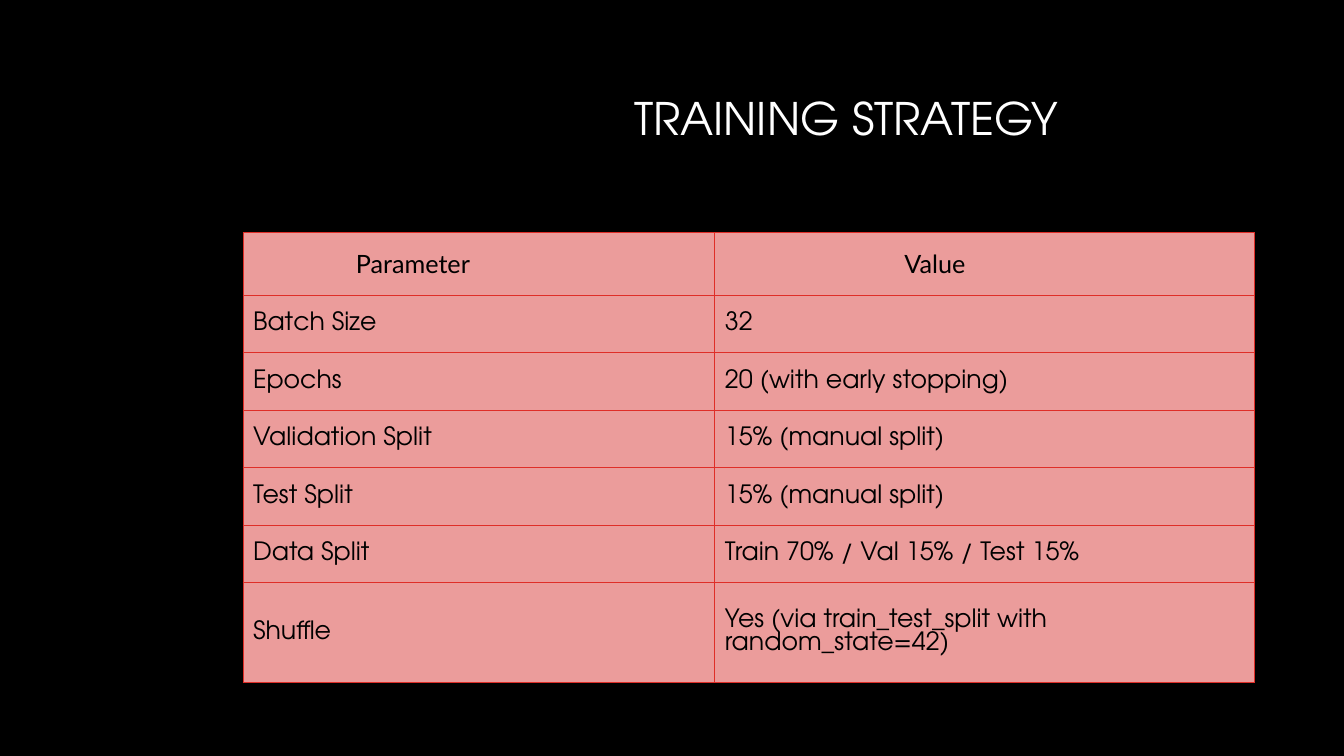
from dataclasses import dataclass

from lxml.etree import SubElement
from pptx import Presentation
from pptx.dml.color import RGBColor
from pptx.enum.text import MSO_ANCHOR as Anchor, PP_ALIGN as Align
from pptx.oxml.ns import qn
from pptx.util import Inches, Pt

WIDTH, HEIGHT = 13.33, 7.5
BODY_FONT, HEADER_FONT = "TeX Gyre Adventor", "Lato"
BLACK, WHITE, PINK, RED = "000000", "FFFFFF", "EB9C9B", "DF2E28"
CELL_MARGIN = 0.1

# Table grid: column widths and row heights
TABLE_LEFT, TABLE_TOP = 2.41, 2.31
COLUMNS = [4.68, 5.35]
ROWS = [0.62] + [0.57] * 5 + [0.99]


@dataclass
class Setting:
    parameter: str
    value: str
    font: str = BODY_FONT
    indents: tuple[float, float] = (0, 0)


SETTINGS = [
    Setting("Parameter", "Value", HEADER_FONT, (1.02, 1.78)),
    Setting("Batch Size", "32"),
    Setting("Epochs", "20 (with early stopping)"),
    Setting("Validation Split", "15% (manual split)"),
    Setting("Test Split", "15% (manual split)"),
    Setting("Data Split", "Train 70% / Val 15% / Test 15%"),
    Setting("Shuffle", "Yes (via train_test_split with random_state=42)"),
]


def color(hex_code: str) -> RGBColor:
    return RGBColor.from_string(hex_code)


def add_run(p, text: str, font: str, size: float, hex_code: str) -> None:
    r = p.add_run()
    r.text = text
    r.font.name = font
    r.font.size = Pt(size)
    r.font.bold = False
    r.font.color.rgb = color(hex_code)


def add_borders(cell, hex_code: str, width: float) -> None:
    """Line all four sides; borders must precede the fill in the cell XML."""
    props = cell._tc.get_or_add_tcPr()
    for i, side in enumerate(("a:lnL", "a:lnR", "a:lnT", "a:lnB")):
        line = SubElement(props, qn(side), w=str(Pt(width)))
        fill = SubElement(line, qn("a:solidFill"))
        SubElement(fill, qn("a:srgbClr"), val=hex_code)
        props.insert(i, line)


def fill_cell(cell, text: str, font: str, indent: float) -> None:
    cell.fill.solid()
    cell.fill.fore_color.rgb = color(PINK)
    add_borders(cell, RED, 0.75)
    cell.vertical_anchor = Anchor.MIDDLE
    cell.margin_left = Inches(CELL_MARGIN + indent)
    add_run(cell.text_frame.paragraphs[0], text, font, 18, BLACK)


def add_title(slide, text: str) -> None:
    sp = slide.shapes.title
    sp.left, sp.top = Inches(1.18), Inches(0.5)
    sp.width, sp.height = Inches(9.42), Inches(1.41)
    tf = sp.text_frame
    tf.word_wrap = True
    tf.vertical_anchor = Anchor.MIDDLE
    p = tf.paragraphs[0]
    p.alignment = Align.RIGHT
    p.line_spacing = 0.9
    add_run(p, text, BODY_FONT, 32, WHITE)


def add_settings_table(slide, settings: list[Setting]) -> None:
    table = slide.shapes.add_table(
        len(ROWS), len(COLUMNS), Inches(TABLE_LEFT), Inches(TABLE_TOP),
        Inches(sum(COLUMNS)), Inches(sum(ROWS))).table
    for column, width in zip(table.columns, COLUMNS):
        column.width = Inches(width)
    for row, height, setting in zip(table.rows, ROWS, settings):
        row.height = Inches(height)
        texts = (setting.parameter, setting.value)
        for cell, text, indent in zip(row.cells, texts, setting.indents):
            fill_cell(cell, text, setting.font, indent)


def main() -> None:
    prs = Presentation()
    prs.slide_width, prs.slide_height = Inches(WIDTH), Inches(HEIGHT)
    slide = prs.slides.add_slide(prs.slide_layouts[5])

    # Black background
    background = slide.background.fill
    background.solid()
    background.fore_color.rgb = color(BLACK)

    add_title(slide, "TRAINING STRATEGY")
    add_settings_table(slide, SETTINGS)
    prs.save("out.pptx")


if __name__ == "__main__":
    main()
